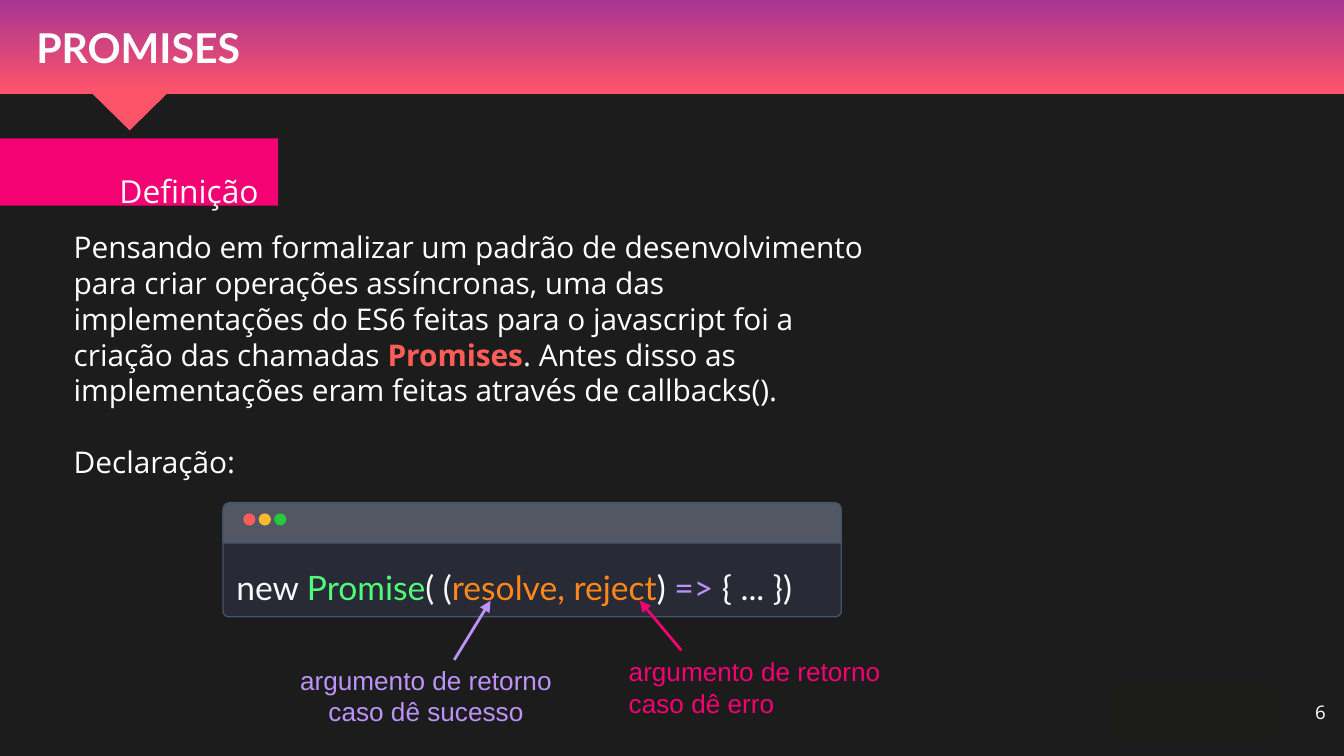
import pptx
import pptx.util
import pptx.dml.color
import pptx.enum.shapes
import pptx.enum.text
import pptx.oxml
import pptx.oxml.ns
import lxml.etree

Inches = pptx.util.Inches
Pt = pptx.util.Pt
SHAPE = pptx.enum.shapes.MSO_SHAPE
ALIGN = pptx.enum.text.PP_ALIGN
ANCHOR = pptx.enum.text.MSO_ANCHOR

COLORS = {
    "background": "1C1C1C", "footer": "1C1C19", "violet": "A83593",
    "coral": "FE5469", "pink": "F40273", "white": "FFFFFF",
    "label": "FAFAFA", "code": "F9F9F9", "red": "FE5E57",
    "yellow": "FEBA2F", "green": "26C93D", "editor": "282A36",
    "toolbar": "535663", "border": "44546A", "class": "50FA7B",
    "argument": "FF8818", "lilac": "BD93F9",
}
COLORS = {name: pptx.dml.color.RGBColor.from_string(value) for name, value in COLORS.items()}


def add_block(kind, place, fill, line=None):
    block = page.shapes.add_shape(kind, *map(Inches, place))
    block.shadow.inherit = False
    block.fill.solid()
    block.fill.fore_color.rgb = COLORS[fill]
    if line:
        block.line.color.rgb = COLORS[line]
        block.line.width = Pt(0.75)
    else:
        block.line.fill.background()
    return block


def write(box, paragraphs, font, size, margins=(0.1, 0.1), anchor=ANCHOR.TOP, **layout):
    """Each paragraph is a list of (text, color, bold) spans."""
    frame = box.text_frame
    side, top = map(Inches, margins)
    settings = {"word_wrap": True, "vertical_anchor": anchor, "margin_left": side,
                "margin_right": side, "margin_top": top, "margin_bottom": top}
    for name, value in settings.items():
        setattr(frame, name, value)
    for index, spans in enumerate(paragraphs):
        para = frame.add_paragraph() if index else frame.paragraphs[0]
        for name, value in layout.items():
            setattr(para, name, value)
        for text, color, bold in spans:
            span = para.add_run()
            span.text = text
            for name, value in {"name": font, "size": Pt(size), "bold": bold}.items():
                setattr(span.font, name, value)
            span.font.color.rgb = COLORS[color]
    return frame


# A 16:9 page
deck = pptx.Presentation()
deck.slide_width = Inches(10)
deck.slide_height = Inches(10 * 9 / 16)
page = deck.slides.add_slide(deck.slide_layouts[5])
page.background.fill.solid()
page.background.fill.fore_color.rgb = COLORS["background"]

# Header band with its pointer
add_block(SHAPE.RECTANGLE, (8.27, 5.08, 1.21, 0.44), "footer")
band = add_block(SHAPE.RECTANGLE, (0, 0, 10, 0.7), "coral")
band.fill.gradient()
band.fill.gradient_angle = 270
for stop, name, position in zip(band.fill.gradient_stops, ("violet", "coral"), (0, 1)):
    stop.color.rgb = COLORS[name]
    stop.position = position
pointer = add_block(SHAPE.ISOSCELES_TRIANGLE, (0.67, 0.68, 0.59, 0.29), "coral")
pointer.rotation = 180

# Title, raised above the band
title = page.shapes.title
for name, value in {"left": 0.17, "top": 0, "width": 9.66, "height": 0.7}.items():
    setattr(title, name, Inches(value))
write(title, [[("PROMISES", "white", True)]], "Lato", 22,
      anchor=ANCHOR.MIDDLE, alignment=ALIGN.LEFT)
title.element.getparent().append(title.element)

# Page number
number = page.shapes.add_textbox(*map(Inches, (9.65, 5.15, 0.35, 0.3)))
write(number, [[("6", "white", False)]], "Open Sans", 10, margins=(0.07, 0.04),
      anchor=ANCHOR.MIDDLE, alignment=ALIGN.CENTER)

# Explanation
body = page.shapes.add_textbox(*map(Inches, (0.45, 1.68, 6.31, 1.91)))
frame = write(body, [
    [("Pensando em formalizar um padrão de desenvolvimento para criar operações "
      "assíncronas, uma das implementações do ES6 feitas para o javascript foi a "
      "criação das chamadas ", "white", False),
     ("Promises", "red", True),
     (". Antes disso as implementações eram feitas através de callbacks().", "white", False)],
    [("Declaração:", "white", False)],
], "Open Sans", 16, anchor=ANCHOR.MIDDLE, line_spacing=1.0)
frame.paragraphs[1].space_before = Pt(19.2)

# Section label
add_block(SHAPE.RECTANGLE, (0, 1.03, 2.07, 0.5), "pink")
label = page.shapes.add_textbox(*map(Inches, (0.79, 1.04, 1.57, 0.47)))
write(label, [[("Definição", "label", False)]], "Open Sans", 17, line_spacing=1.5)

# Code window
window = add_block(SHAPE.ROUNDED_RECTANGLE, (1.66, 3.76, 4.6, 0.83), "editor", "border")
window.adjustments[0] = 0.05
add_block(SHAPE.ROUND_2_SAME_RECTANGLE, (1.66, 3.74, 4.6, 0.3), "toolbar", "border")
for index, color in enumerate(("red", "yellow", "green")):
    add_block(SHAPE.OVAL, (1.81 + index * 0.115, 3.82, 0.09, 0.09), color)
code = page.shapes.add_textbox(*map(Inches, (1.66, 4.01, 5.91, 0.5)))
tokens = [("new ", "code"), ("Promise", "class"), ("( (", "code"),
          ("resolve, reject", "argument"), (") ", "white"),
          ("=> ", "lilac"), ("{ ... })", "code")]
write(code, [[(text, color, False) for text, color in tokens]], "Lato", 18, line_spacing=1.36)

# Callouts: arrow and caption for each argument
callouts = [
    ("argumento de retorno caso dê sucesso", "lilac", ALIGN.CENTER,
     (3.38, 4.91, 3.65, 4.47), (2.04, 4.84, 2.26, 0.67)),
    ("argumento de retorno caso dê erro", "pink", ALIGN.LEFT,
     (5.07, 4.84, 4.76, 4.47), (4.58, 4.78, 2.13, 0.67)),
]
for text, color, alignment, ends, place in callouts:
    arrow = page.shapes.add_connector(pptx.enum.shapes.MSO_CONNECTOR.STRAIGHT,
                                      *map(Inches, ends))
    arrow.line.color.rgb = COLORS[color]
    arrow.line.width = Pt(1.5)
    # The colour fill is the line element's last child, so the head goes after it
    stroke = arrow.element.spPr.find(pptx.oxml.ns.qn("a:ln"))
    head = lxml.etree.SubElement(stroke, pptx.oxml.ns.qn("a:tailEnd"))
    head.set("type", "triangle")
    lxml.etree.SubElement(arrow.element.spPr, pptx.oxml.ns.qn("a:effectLst"))
    caption = page.shapes.add_textbox(*map(Inches, place))
    write(caption, [[(text, color, False)]], "Arial", 14, alignment=alignment)

deck.save("out.pptx")
